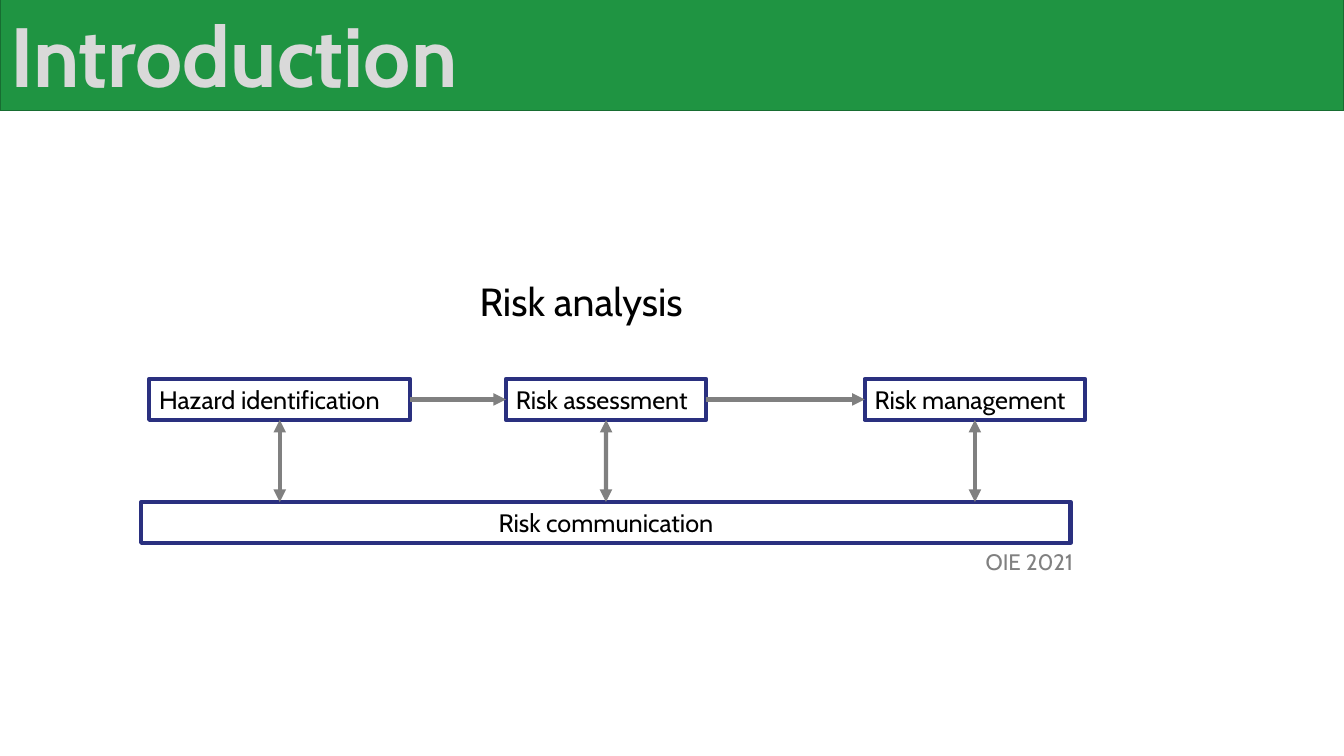
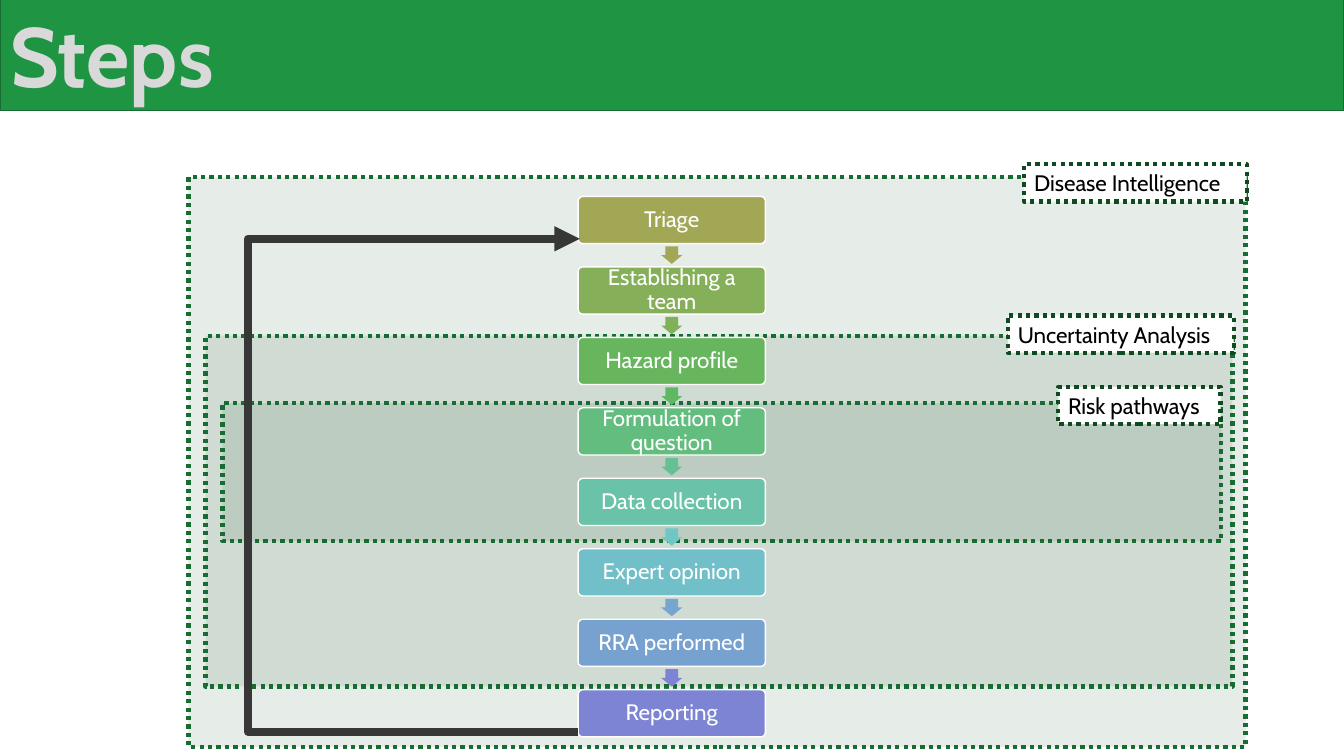
from lxml import etree
from pptx import Presentation
from pptx import util as u
from pptx.dml.color import RGBColor
from pptx.enum import dml, shapes, text
from pptx.oxml.ns import qn

PAGE_WIDTH, PAGE_HEIGHT = 33.87, 19.05
GREEN, DARK_GREEN, DEEP_GREEN = "1F9442", "176D31", "104A21"
NAVY, GREY, CHARCOAL = "2A307F", "808080", "373737"
WHITE, BLACK, LIGHT_GREY = "FFFFFF", "000000", "D9D9D9"
TOP, LEFT, BOTTOM, RIGHT = range(4)
RECTANGLE = shapes.MSO_SHAPE.RECTANGLE


def colour(value):
    return RGBColor.from_string(value)


def write(shape, words, size=16, ink=BLACK, bold=False, align=text.PP_ALIGN.LEFT,
          anchor=text.MSO_ANCHOR.MIDDLE, spacing=1.0, inset=None):
    """Fill a shape with one formatted paragraph; inset (cm) replaces all margins."""
    frame = shape.text_frame
    frame.word_wrap = True
    frame.auto_size = text.MSO_AUTO_SIZE.NONE
    frame.vertical_anchor = anchor
    if inset is not None:
        frame.margin_left = frame.margin_right = u.Cm(inset)
        frame.margin_top = frame.margin_bottom = u.Cm(inset)
    para = frame.paragraphs[0]
    para.alignment = align
    para.line_spacing = spacing
    span = para.add_run()
    span.text = words
    span.font.name = "Cabin"
    span.font.size = u.Pt(size)
    span.font.bold = bold
    span.font.color.rgb = colour(ink)


class SlideBuilder:
    def __init__(self):
        self.deck = Presentation()
        self.deck.slide_width = u.Cm(PAGE_WIDTH)
        self.deck.slide_height = u.Cm(PAGE_HEIGHT)
        self.page = None

    def start_page(self, heading):
        self.page = self.deck.slides.add_slide(self.deck.slide_layouts[5])
        band = self.shape(0, -0.03, PAGE_WIDTH, 2.82, fill=GREEN, line=DARK_GREEN)
        title = self.page.shapes.title
        title.left, title.top = u.Cm(0), u.Cm(-0.03)
        title.width, title.height = u.Cm(12.9), u.Cm(2.82)
        write(title, heading, size=60, ink=LIGHT_GREY, bold=True,
              anchor=text.MSO_ANCHOR.TOP)
        band._element.addnext(title._element)

    def shape(self, left, top, width, height, kind=RECTANGLE, fill=WHITE,
              line=None, weight=1, dotted=False, opacity=None):
        shape = self.page.shapes.add_shape(
            kind, u.Cm(left), u.Cm(top), u.Cm(width), u.Cm(height))
        shape.shadow.inherit = False
        shape.fill.solid()
        shape.fill.fore_color.rgb = colour(fill)
        if opacity is not None:
            solid = shape._element.spPr.find(qn("a:solidFill"))
            etree.SubElement(solid[0], qn("a:alpha"), val=str(opacity * 1000))
        if line is None:
            shape.line.fill.background()
        else:
            shape.line.color.rgb = colour(line)
            shape.line.width = u.Pt(weight)
        if dotted:
            shape.line.dash_style = dml.MSO_LINE.ROUND_DOT
        return shape

    def label(self, words, left, top, width, height, **style):
        box = self.page.shapes.add_textbox(
            u.Cm(left), u.Cm(top), u.Cm(width), u.Cm(height))
        write(box, words, **style)

    def process_box(self, words, left, top, width, **style):
        box = self.shape(left, top, width, 1.03, line=NAVY, weight=3)
        write(box, words, size=18, **style)
        return box

    def region(self, words, area, tag):
        """Draw a translucent dotted area with its name tag."""
        self.shape(*area, fill=DEEP_GREEN, opacity=10, line=DARK_GREEN,
                   weight=3, dotted=True)
        box = self.shape(*tag, line=DEEP_GREEN, weight=3, dotted=True)
        write(box, words)

    def connector(self, begin, end, ink=GREY, weight=3, both=False,
                  kind=shapes.MSO_CONNECTOR.STRAIGHT):
        """Join two ends, each an (x, y) point in cm or a (shape, side) pair."""
        line = self.page.shapes.add_connector(kind, 0, 0, 0, 0)
        line.begin_x = line.begin_y = line.end_x = line.end_y = 0
        if isinstance(begin[0], (int, float)):
            line.begin_x, line.begin_y = map(u.Cm, begin)
        else:
            line.begin_connect(*begin)
        if isinstance(end[0], (int, float)):
            line.end_x, line.end_y = map(u.Cm, end)
        else:
            line.end_connect(*end)
        line.line.color.rgb = colour(ink)
        line.line.width = u.Pt(weight)
        outline = line.line._get_or_add_ln()
        for tip in ("a:headEnd", "a:tailEnd") if both else ("a:tailEnd",):
            etree.SubElement(outline, qn(tip), type="triangle")
        etree.SubElement(line._element.spPr, qn("a:effectLst"))
        return line

    def feedback_loop(self, begin, end, bend_x):
        """Draw an elbow whose vertical run lies at bend_x, outside both ends."""
        line = self.connector(begin, end, ink=CHARCOAL, weight=6,
                              kind=shapes.MSO_CONNECTOR.ELBOW)
        bend = round((bend_x - begin[0]) / (end[0] - begin[0]) * 100000)
        guides = line._element.spPr.find(qn("a:prstGeom")).find(qn("a:avLst"))
        etree.SubElement(guides, qn("a:gd"), name="adj1", fmla=f"val {bend}")


def build_introduction(builder):
    builder.start_page("Introduction")
    row_top, communication_top = 9.55, 12.65
    hazard, assessment, management = [
        builder.process_box(words, left, row_top, width)
        for words, left, width in (("Hazard identification", 3.76, 6.58),
                                   ("Risk assessment", 12.75, 5.05),
                                   ("Risk management", 21.79, 5.56))]
    communication = builder.process_box("Risk communication", 3.56, communication_top,
                                        23.42, align=text.PP_ALIGN.CENTER)
    builder.label("Risk analysis", 11.84, 6.86, 6.05, 1.45, size=28)
    builder.connector((hazard, RIGHT), (assessment, LEFT))
    builder.connector((assessment, RIGHT), (management, LEFT))
    for box in (hazard, management):
        centre = u.Length(box.left + box.width // 2).cm
        builder.connector((box, BOTTOM), (centre, communication_top), both=True)
    builder.connector((assessment, BOTTOM), (communication, TOP), both=True)
    builder.label("OIE 2021", 24.59, 13.67, 2.72, 0.94, ink=GREY)


def build_steps(builder):
    builder.start_page("Steps")
    for words, area, tag in (
            ("Disease Intelligence", (4.75, 4.47, 26.64, 14.35), (25.81, 4.14, 5.61, 0.94)),
            ("Uncertainty Analysis", (5.18, 8.46, 25.88, 8.84), (25.4, 7.95, 5.69, 0.94)),
            ("Risk pathways", (5.61, 10.16, 25.17, 3.48), (26.67, 9.75, 4.09, 0.94))):
        builder.region(words, area, tag)

    steps = (("Triage", "A1A754", "A1A754"),
             ("Establishing a team", "85AF58", "80B159"),
             ("Hazard profile", "67B65E", "5FB962"),
             ("Formulation of question", "63BD7E", "66C093"),
             ("Data collection", "6AC3A9", "6EC7C5"),
             ("Expert opinion", "70BFC9", "76A6CE"),
             ("RRA performed", "77A1CF", "7E84D4"),
             ("Reporting", "7E84D4", None))
    left, width, height = 14.57, 4.72, 1.19
    first_top, last_top = 4.95, 17.38
    arrow_width, arrow_height, arrow_drop = 0.53, 0.44, 1.26
    pitch = (last_top - first_top) / (len(steps) - 1)
    for index, (words, fill, arrow_fill) in enumerate(steps):
        top = first_top + index * pitch
        box = builder.shape(left, top, width, height, fill=fill, line=WHITE,
                            kind=shapes.MSO_SHAPE.ROUNDED_RECTANGLE)
        box.adjustments[0] = 0.1
        write(box, words, ink=WHITE, align=text.PP_ALIGN.CENTER, spacing=0.9, inset=0.2)
        if arrow_fill:
            arrow = builder.shape(left + (width - arrow_width) / 2, top + arrow_drop,
                                  arrow_width, arrow_height, fill=arrow_fill,
                                  kind=shapes.MSO_SHAPE.DOWN_ARROW)
            arrow.adjustments[0], arrow.adjustments[1] = 0.6, 0.5
    builder.feedback_loop((14.57, 18.44), (14.61, 6.02), bend_x=6.25)


def main():
    builder = SlideBuilder()
    build_introduction(builder)
    build_steps(builder)
    builder.deck.save("out.pptx")


if __name__ == "__main__":
    main()
